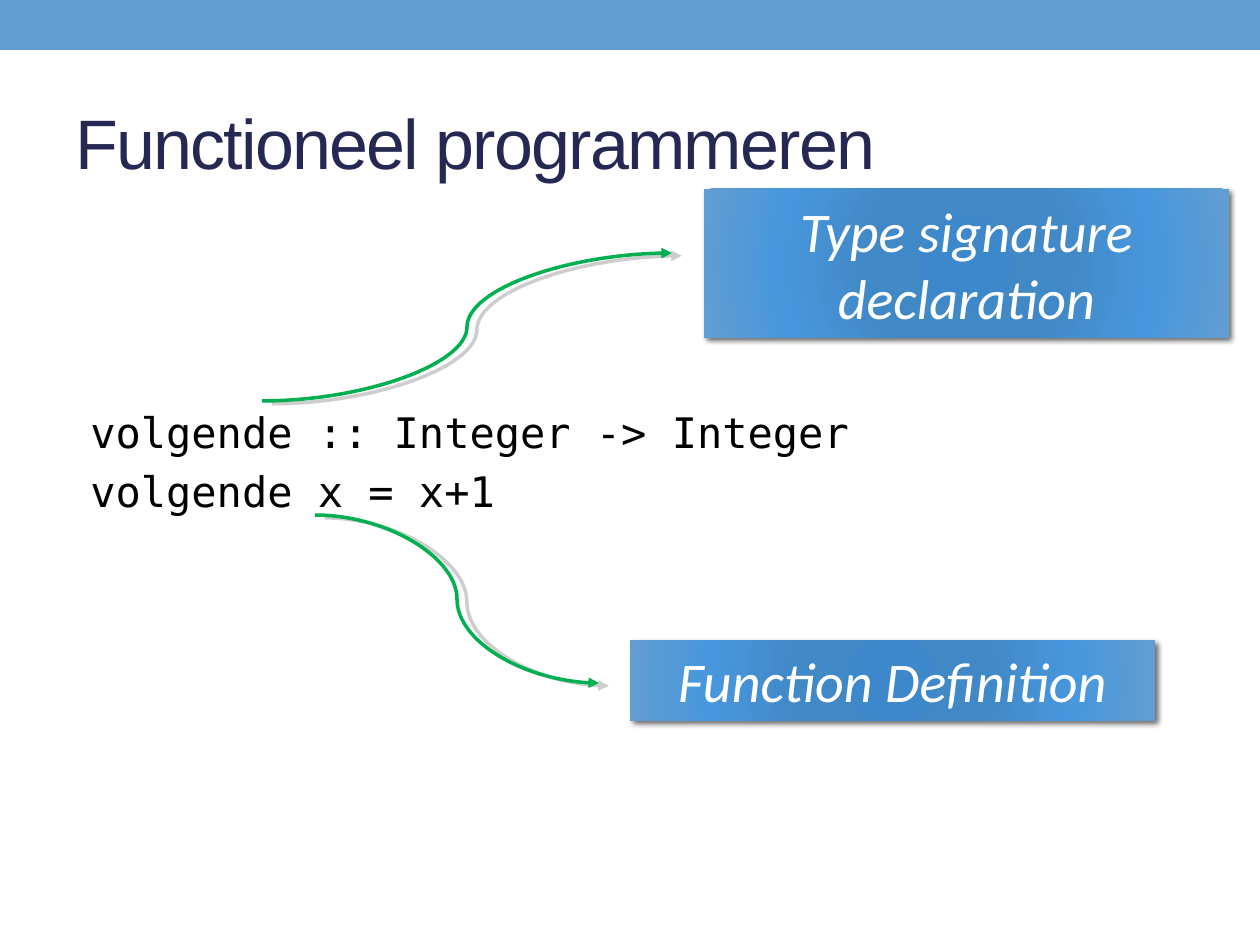
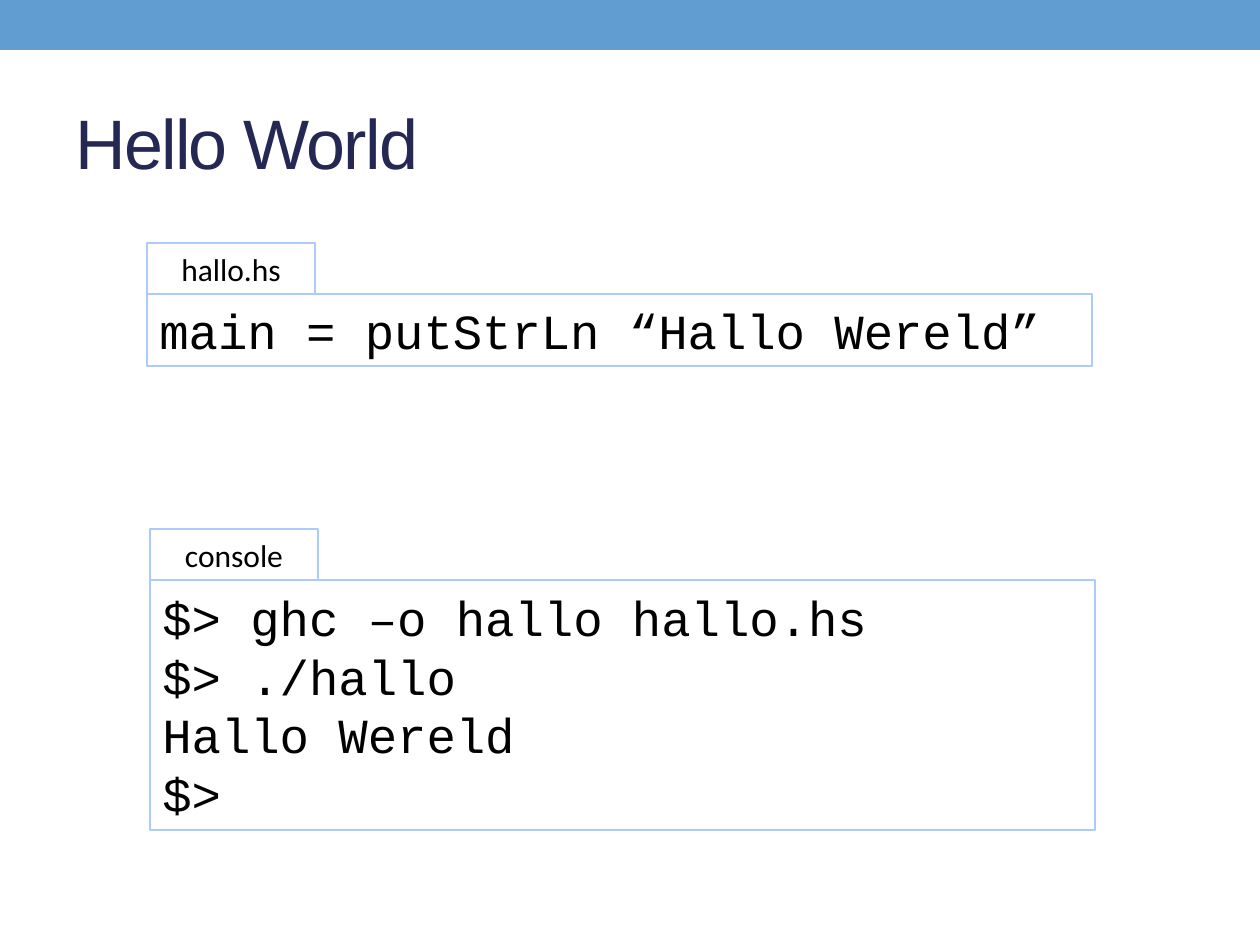
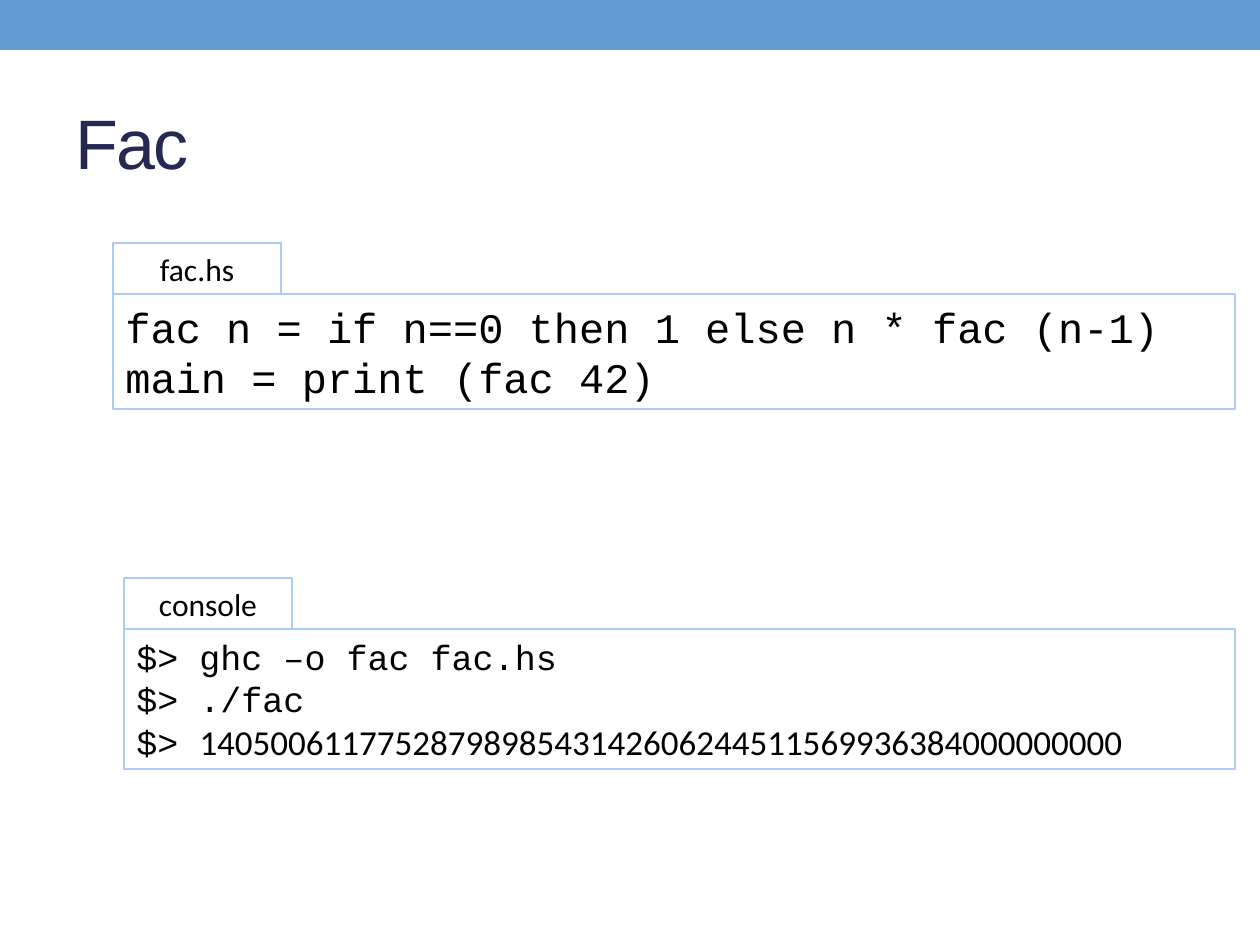
"""Build three slides that introduce functional programming in Haskell."""
from lxml.etree import SubElement
from pptx import Presentation
from pptx.dml.color import RGBColor
from pptx.enum.shapes import MSO_CONNECTOR, MSO_SHAPE
from pptx.enum.text import MSO_ANCHOR, PP_ALIGN
from pptx.oxml.ns import qn
from pptx.util import Inches, Pt

PX_PER_INCH = 126
BAND_BLUE = RGBColor(0x62, 0x9D, 0xD1)
PANEL_LINE = RGBColor(0xAC, 0xCB, 0xF9)
ARROW_GREEN = RGBColor(0x00, 0xB0, 0x50)
NAVY = RGBColor(0x24, 0x28, 0x52)
WHITE = RGBColor(0xFF, 0xFF, 0xFF)
BLACK = RGBColor(0x00, 0x00, 0x00)
GREY = RGBColor(0x80, 0x80, 0x80)
CALLOUT_STOPS = [
    (0, RGBColor(0x3C, 0x88, 0xCB)),
    (34, RGBColor(0x41, 0x88, 0xC6)),
    (70, RGBColor(0x48, 0x97, 0xDD)),
    (100, BAND_BLUE),
]

TITLE_FONT = {"name": "Arial", "size": Pt(40)}
CODE_FONT = {"name": "DejaVu Sans Mono", "size": Pt(24)}
CALLOUT_FONT = {"name": "Calibri", "size": Pt(32), "italic": True}
TAB_FONT = {"name": "Calibri", "size": Pt(18)}
TAB_WIDTH, TAB_HEIGHT = 168, 51


def px(value):
    """Turn pixels into EMU."""
    return round(value * Inches(1) / PX_PER_INCH)


def write(tf, lines, font, color=BLACK, align=PP_ALIGN.LEFT, gap=0):
    """Write lines, each a string or a list of (text, font changes) runs."""
    tf.word_wrap = True
    for i, line in enumerate(lines):
        p = tf.paragraphs[0] if i == 0 else tf.add_paragraph()
        p.alignment = align
        p.space_after = Pt(gap)
        for text, changes in [(line, {})] if isinstance(line, str) else line:
            r = p.add_run()
            r.text = text
            r.font.color.rgb = color
            for key, value in {**font, **changes}.items():
                setattr(r.font, key, value)


def add_box(slide, box, fill=None, line=None):
    """Add a flat rectangle."""
    sp = slide.shapes.add_shape(MSO_SHAPE.RECTANGLE, *map(px, box))
    sp.shadow.inherit = False
    if fill is not None:
        sp.fill.solid()
        sp.fill.fore_color.rgb = fill
    if line is None:
        sp.line.fill.background()
    else:
        sp.line.color.rgb = line
        sp.line.width = Pt(0.75)
    return sp


def add_textbox(slide, box, lines, font, **options):
    """Add a text box and return its text frame."""
    tf = slide.shapes.add_textbox(*map(px, box)).text_frame
    write(tf, lines, font, **options)
    return tf


def add_color(parent, color, alpha=100):
    """Add a colour element with an opacity in percent."""
    clr = SubElement(parent, qn("a:srgbClr"), val=str(color))
    if alpha < 100:
        SubElement(clr, qn("a:alpha"), val=str(alpha * 1000))


def cast_shadow(sp_pr, color, alpha, blur, distance, angle):
    """Give a shape or connector an outer shadow."""
    effects = sp_pr.find(qn("a:effectLst"))
    if effects is None:
        effects = SubElement(sp_pr, qn("a:effectLst"))
    shadow = SubElement(
        effects, qn("a:outerShdw"), blurRad=str(Pt(blur)), dist=str(Pt(distance)),
        dir=str(angle * 60000), algn="ctr", rotWithShape="0")
    add_color(shadow, color, alpha)


def fill_radial(sp, stops):
    """Fill a shape with a circular gradient."""
    sp_pr = sp._element.spPr
    grad = SubElement(sp_pr, qn("a:gradFill"), rotWithShape="1")
    gs_list = SubElement(grad, qn("a:gsLst"))
    for position, color in stops:
        add_color(SubElement(gs_list, qn("a:gs"), pos=str(position * 1000)), color)
    path = SubElement(grad, qn("a:path"), path="circle")
    SubElement(path, qn("a:fillToRect"), dict.fromkeys("ltrb", "100000"))
    sp_pr.find(qn("a:ln")).addprevious(grad)


def add_callout(slide, box, text):
    """Add a shaded label with white italic text."""
    sp = add_box(slide, box)
    fill_radial(sp, CALLOUT_STOPS)
    cast_shadow(sp._element.spPr, BLACK, 60, 3, 2, 45)
    write(sp.text_frame, [text], CALLOUT_FONT, WHITE, PP_ALIGN.CENTER)


def add_curved_arrow(slide, start, end):
    """Add a green curved arrow from start to end."""
    cxn = slide.shapes.add_connector(MSO_CONNECTOR.CURVE, *map(px, start + end))
    cxn.line.color.rgb = ARROW_GREEN
    cxn.line.width = Pt(2)
    SubElement(cxn.line._get_or_add_ln(), qn("a:tailEnd"), type="triangle")
    cast_shadow(cxn._element.spPr, GREY, 38, 0, 5.9, 16)


def add_panel(slide, box, label, lines, size):
    """Add a code panel with a labelled tab on top of it."""
    left, top = box[:2]
    panel = add_box(slide, box, WHITE, PANEL_LINE)
    write(panel.text_frame, lines, {"name": "Courier New", "size": Pt(size)})
    tab = add_box(slide, (left, top - TAB_HEIGHT, TAB_WIDTH, TAB_HEIGHT), WHITE, PANEL_LINE)
    write(tab.text_frame, [label], TAB_FONT, align=PP_ALIGN.CENTER)


def add_slide(prs, title):
    """Add a blank slide with the top band and a title."""
    slide = prs.slides.add_slide(prs.slide_layouts[6])
    add_box(slide, (0, 0, 1260, 50), BAND_BLUE)
    tf = add_textbox(slide, (63, 73, 1134, 136), [title], TITLE_FONT, color=NAVY)
    tf.vertical_anchor = MSO_ANCHOR.MIDDLE
    for r in tf.paragraphs[0].runs:
        r.font._element.set("spc", "-100")
    return slide


def main():
    """Build and save the slides."""
    prs = Presentation()
    prs.slide_width, prs.slide_height = px(1260), px(945)

    slide = add_slide(prs, "Functioneel programmeren")
    add_textbox(slide, (78, 400, 1119, 130),
                ["volgende :: Integer -> Integer", "volgende x = x+1"], CODE_FONT, gap=5)
    add_callout(slide, (704, 189, 525, 149), "Type signature declaration")
    add_curved_arrow(slide, (262, 401), (672, 253))
    add_callout(slide, (630, 640, 525, 81), "Function Definition")
    add_curved_arrow(slide, (315, 515), (599, 683))

    slide = add_slide(prs, "Hello World")
    add_panel(slide, (147, 294, 945, 72), "hallo.hs", ["main = putStrLn “Hallo Wereld”"], 28)
    add_panel(slide, (150, 580, 945, 250), "console",
              ["$> ghc –o hallo hallo.hs", "$> ./hallo", "Hallo Wereld", "$>"], 28)

    slide = add_slide(prs, "Fac")
    add_panel(slide, (113, 294, 1122, 115), "fac.hs",
              ["fac n = if n==0 then 1 else n * fac (n-1)", "main = print (fac 42)"], 24)
    answer = [("$> ", {}),
              ("1405006117752879898543142606244511569936384000000000", {"name": "Calibri"})]
    add_panel(slide, (124, 629, 1111, 140), "console",
              ["$> ghc –o fac fac.hs", "$> ./fac", answer], 20)

    prs.save("out.pptx")


if __name__ == "__main__":
    main()
